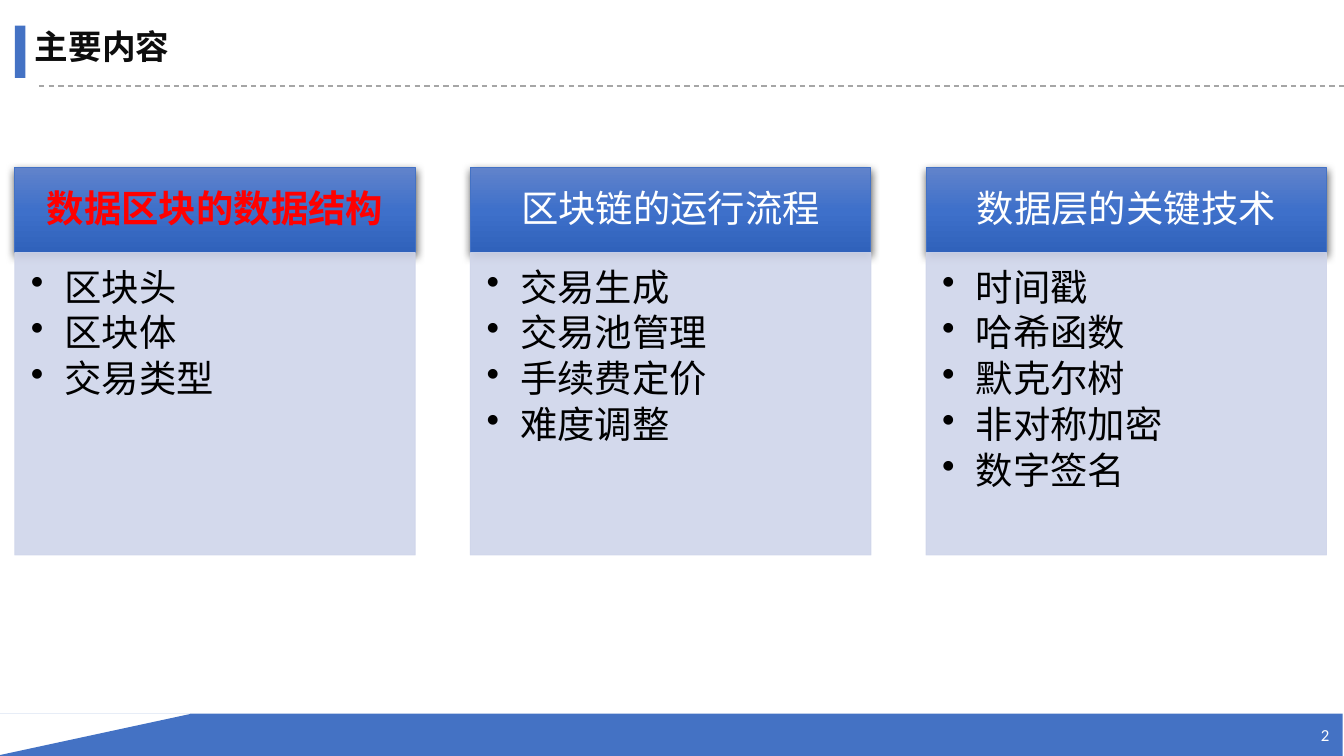
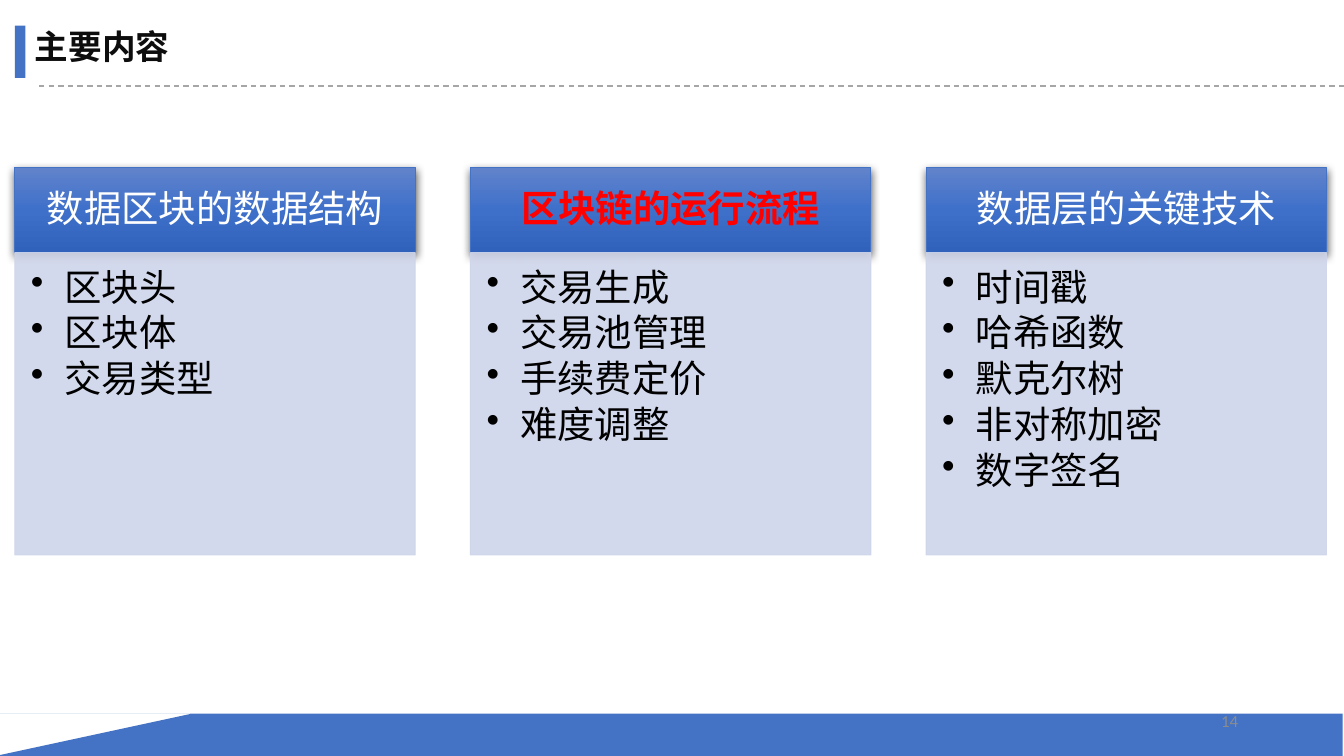
from pptx import Presentation
from pptx.dml.color import RGBColor
from pptx.enum.dml import MSO_LINE_DASH_STYLE as Dash
from pptx.enum.lang import MSO_LANGUAGE_ID as Language
from pptx.enum.shapes import MSO_CONNECTOR_TYPE as Connector, MSO_SHAPE as Shape
from pptx.enum.text import MSO_ANCHOR as Anchor, PP_ALIGN as Align
from pptx.oxml import parse_xml
from pptx.oxml.ns import nsdecls, qn
from pptx.util import Inches, Pt

BLUE = RGBColor(0x44, 0x72, 0xC4)
PANEL = RGBColor(0xCF, 0xD5, 0xEA)
RULE_GRAY = RGBColor(0xA6, 0xA6, 0xA6)
NUMBER_GRAY = RGBColor(0x8C, 0x8C, 0x8C)
TITLE_BLACK = RGBColor(0x0D, 0x0D, 0x0D)
BLACK = RGBColor(0, 0, 0)
WHITE = RGBColor(0xFF, 0xFF, 0xFF)
RED = RGBColor(0xFF, 0, 0)
HEADER_GRADIENT = [
    (0, RGBColor(0x61, 0x83, 0xCB)),
    (50, RGBColor(0x3E, 0x70, 0xCA)),
    (100, RGBColor(0x30, 0x62, 0xBB)),
]

TITLE_FONT = "Times New Roman"
BODY_FONT = "Calibri"
PAGE_WIDTH, PAGE_HEIGHT = Inches(10), Inches(5.625)

TITLE = "主要内容"
TOPICS = [
    ("数据区块的数据结构", ["区块头", "区块体", "交易类型"]),
    ("区块链的运行流程", ["交易生成", "交易池管理", "手续费定价", "难度调整"]),
    ("数据层的关键技术", ["时间戳", "哈希函数", "默克尔树", "非对称加密", "数字签名"]),
]
# Highlighted topic, then number text, its left and top, and its colour
PAGES = [
    (0, "2", Inches(7.74), Inches(5.32), WHITE),
    (1, "14", Inches(7.06), Inches(5.21), NUMBER_GRAY),
]


def add_xml(parent, tag, content="", attributes=""):
    parent.append(parse_xml(f"<a:{tag} {nsdecls('a')} {attributes}>{content}</a:{tag}>"))


def set_font(para, name, size, color, bold=False):
    font = para.font
    font.name, font.size, font.bold = name, Pt(size), bold
    font.color.rgb = color
    font.language_id = Language.SIMPLIFIED_CHINESE


def set_insets(frame, left, top, right, bottom):
    frame.margin_left, frame.margin_top = Inches(left), Inches(top)
    frame.margin_right, frame.margin_bottom = Inches(right), Inches(bottom)


def set_spacing(para, after_percent):
    """Set tight lines and a gap below as a percentage of the text size."""
    add_xml(para._p.get_or_add_pPr(), "spcAft",
            f'<a:spcPct val="{after_percent * 1000}"/>')
    para.line_spacing = 0.9


def add_bullet(para):
    props = para._p.get_or_add_pPr()
    props.set("marL", str(Inches(0.25)))
    props.set("indent", str(Inches(-0.25)))
    add_xml(props, "buChar", attributes='char="•"')


def set_opacity(shape, percent):
    for color in shape._element.spPr.iter(qn("a:srgbClr")):
        add_xml(color, "alpha", attributes=f'val="{percent * 1000}"')


def add_title_bar(page):
    title = page.shapes.title
    title.left, title.top = Inches(0.16), Inches(0.14)
    title.width, title.height = Inches(9.52), Inches(0.4)
    title.text_frame.text = TITLE
    para = title.text_frame.paragraphs[0]
    para.alignment = Align.LEFT
    set_font(para, TITLE_FONT, 18, TITLE_BLACK, bold=True)

    rule = page.shapes.add_connector(
        Connector.STRAIGHT, Inches(0.29), Inches(0.64), PAGE_WIDTH, Inches(0.64))
    rule.line.color.rgb = RULE_GRAY
    rule.line.width = Pt(0.75)
    rule.line.dash_style = Dash.DASH
    add_xml(rule._element.spPr, "effectLst")

    marker = page.shapes.add_shape(
        Shape.RECTANGLE, Inches(0.11), Inches(0.19), Inches(0.08), Inches(0.39))
    marker.shadow.inherit = False
    marker.fill.solid()
    marker.fill.fore_color.rgb = BLUE
    marker.line.fill.background()


def add_footer(page, number, left, top, color):
    band_left, band_right = Inches(-0.03), Inches(9.99)
    slant, band_top = Inches(1.43), Inches(5.31)
    builder = page.shapes.build_freeform(slant, band_top)
    builder.add_line_segments(
        [(band_right, band_top), (band_right, PAGE_HEIGHT), (band_left, PAGE_HEIGHT)])
    builder.move_to(band_left, band_top)
    builder.add_line_segments([(slant, band_top)])
    band = builder.convert_to_shape()
    band.shadow.inherit = False
    band.fill.solid()
    band.fill.fore_color.rgb = BLUE
    band.line.fill.background()

    frame = page.shapes.add_textbox(left, top, Inches(2.25), Inches(0.3)).text_frame
    frame.word_wrap = True
    frame.vertical_anchor = Anchor.MIDDLE
    frame.text = number
    para = frame.paragraphs[0]
    para.alignment = Align.RIGHT
    set_font(para, BODY_FONT, 9, color)


def add_topic_header(page, heading, highlighted, left, top, width, height):
    header = page.shapes.add_shape(Shape.RECTANGLE, left, top, width, height)
    props = header._element.spPr
    stops = "".join(f'<a:gs pos="{place * 1000}"><a:srgbClr val="{color}"/></a:gs>'
                    for place, color in HEADER_GRADIENT)
    add_xml(props, "gradFill", f'<a:gsLst>{stops}</a:gsLst><a:lin ang="5400000" scaled="0"/>')
    header.line.color.rgb = BLUE
    header.line.width = Pt(0.5)
    add_xml(props, "effectLst",
            f'<a:outerShdw blurRad="{Pt(4.5)}" dist="{Pt(1.5)}" dir="5400000" '
            'algn="ctr" rotWithShape="0"><a:srgbClr val="000000">'
            '<a:alpha val="63000"/></a:srgbClr></a:outerShdw>')

    frame = header.text_frame
    frame.word_wrap = True
    frame.vertical_anchor = Anchor.MIDDLE
    set_insets(frame, 0.16, 0.09, 0.16, 0.09)
    frame.text = heading
    para = frame.paragraphs[0]
    para.alignment = Align.CENTER
    set_spacing(para, 35)
    set_font(para, BODY_FONT, 20, RED if highlighted else WHITE, bold=highlighted)


def add_topic_list(page, items, left, top, width, height):
    panel = page.shapes.add_shape(Shape.RECTANGLE, left, top, width, height)
    panel.shadow.inherit = False
    panel.fill.solid()
    panel.fill.fore_color.rgb = PANEL
    panel.line.color.rgb = PANEL
    panel.line.width = Pt(0.5)
    set_opacity(panel, 90)

    frame = panel.text_frame
    frame.word_wrap = True
    frame.vertical_anchor = Anchor.TOP
    set_insets(frame, 0.12, 0.12, 0.16, 0.17)
    frame.text = "\n".join(items)
    for para in frame.paragraphs:
        para.level = 1
        para.alignment = Align.LEFT
        set_spacing(para, 15)
        add_bullet(para)
        set_font(para, BODY_FONT, 20, BLACK)


def add_topics(page, highlight, left, top):
    width, pitch = Inches(2.98), Inches(3.39)
    header_height, list_height = Inches(0.63), Inches(2.25)
    for index, (heading, items) in enumerate(TOPICS):
        column = left + index * pitch
        add_topic_header(page, heading, index == highlight,
                         column, top, width, header_height)
        add_topic_list(page, items, column, top + header_height, width, list_height)


def main():
    deck = Presentation()
    deck.slide_width, deck.slide_height = PAGE_WIDTH, PAGE_HEIGHT
    title_only = deck.slide_layouts[5]
    for highlight, *footer in PAGES:
        page = deck.slides.add_slide(title_only)
        add_title_bar(page)
        add_topics(page, highlight, Inches(0.11), Inches(1.25))
        add_footer(page, *footer)
    deck.save("out.pptx")


if __name__ == "__main__":
    main()
